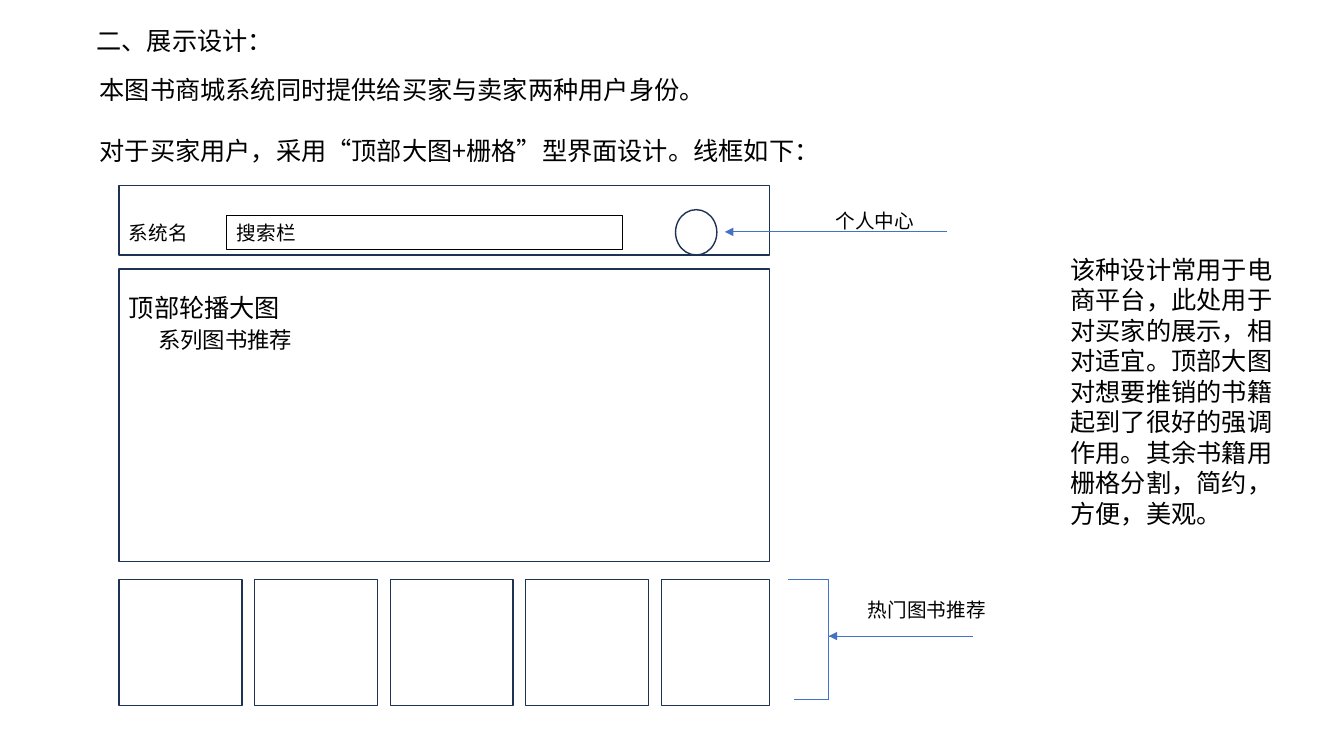
from lxml.etree import SubElement
from pptx import Presentation
from pptx.dml.color import RGBColor
from pptx.enum.shapes import MSO_CONNECTOR, MSO_SHAPE
from pptx.enum.text import MSO_ANCHOR, PP_ALIGN
from pptx.oxml.ns import qn
from pptx.util import Inches, Pt

FONT = "Noto Sans CJK SC"
LINE_HEIGHT = 1.21
BLACK = RGBColor(0x00, 0x00, 0x00)
NAVY = RGBColor(0x1E, 0x32, 0x56)
BLUE = RGBColor(0x44, 0x72, 0xC4)

# Wireframe geometry in inches
FRAME_LEFT, FRAME_WIDTH = 1.18, 6.45
CARD_TOP, CARD_HEIGHT, CARD_WIDTH, CARD_PITCH = 5.75, 1.25, 1.22, 1.345
CARD_COUNT = 5
BRACKET_X, BRACKET_MIDDLE, BRACKET_BOTTOM = 8.22, 6.31, 6.94

# (left, top, width, height), paragraphs of (text, size, space before, indent)
TEXTS = [
    ((0.86, 0.2, 7.83, 0.71), [("二、展示设计：", 18, 0, 0)]),
    ((0.89, 0.69, 9.69, 1.01), [
        ("本图书商城系统同时提供给买家与卖家两种用户身份。", 18, 0, 0),
        ("对于买家用户，采用“顶部大图+栅格”型界面设计。线框如下：", 18, 21.8, 0),
    ]),
    ((FRAME_LEFT, 2.14, 1.49, 0.34), [("系统名", 14, 0, 0)]),
    ((8.19, 2.02, 1.31, 0.34), [("个人中心", 14, 0, 0)]),
    ((FRAME_LEFT, 2.85, 2.57, 0.71), [
        ("顶部轮播大图", 18, 0, 0),
        ("系列图书推荐", 16, 2, 0.29),
    ]),
    ((8.51, 5.88, 1.63, 0.34), [("热门图书推荐", 14, 0, 0)]),
    ((10.52, 2.47, 2.34, 2.83), [
        ("该种设计常用于电商平台，此处用于对买家的展示，相对适宜。"
         "顶部大图对想要推销的书籍起到了很好的强调作用。"
         "其余书籍用栅格分割，简约，方便，美观。", 18, 0, 0),
    ]),
]
SEARCH_BOX = (2.25, 2.14, 3.92, 0.34)
SEARCH_TEXT = [("搜索栏", 14, 0, 0)]

PANELS = [
    (MSO_SHAPE.RECTANGLE, (FRAME_LEFT, 1.84, FRAME_WIDTH, 0.69)),
    (MSO_SHAPE.OVAL, (6.7, 2.08, 0.41, 0.45)),
    (MSO_SHAPE.RECTANGLE, (FRAME_LEFT, 2.67, FRAME_WIDTH, 2.9)),
]

# kind, start, end, arrowhead
LINES = [
    (MSO_CONNECTOR.STRAIGHT, (9.39, 2.3), (7.19, 2.3), True),
    (MSO_CONNECTOR.ELBOW, (7.82, CARD_TOP), (8.62, BRACKET_MIDDLE), False),
    (MSO_CONNECTOR.STRAIGHT, (BRACKET_X, BRACKET_MIDDLE), (BRACKET_X, BRACKET_BOTTOM), False),
    (MSO_CONNECTOR.STRAIGHT, (7.88, BRACKET_BOTTOM), (BRACKET_X, BRACKET_BOTTOM), False),
    (MSO_CONNECTOR.STRAIGHT, (9.65, BRACKET_MIDDLE), (BRACKET_X, BRACKET_MIDDLE), True),
]


def write_text(frame, paragraphs, anchor=MSO_ANCHOR.TOP):
    frame.word_wrap = True
    frame.vertical_anchor = anchor
    for index, (text, size, before, indent) in enumerate(paragraphs):
        paragraph = frame.add_paragraph() if index else frame.paragraphs[0]
        paragraph.alignment = PP_ALIGN.LEFT
        paragraph.line_spacing = Pt(size * LINE_HEIGHT)
        paragraph.space_before = Pt(before)
        if indent:
            paragraph._p.get_or_add_pPr().set("marL", str(Inches(indent)))
        run = paragraph.add_run()
        run.text = text
        run.font.size = Pt(size)
        run.font.name = FONT
        run.font.color.rgb = BLACK
        SubElement(run._r.get_or_add_rPr(), qn("a:ea")).set("typeface", FONT)


def add_outline(slide, kind, box, color=NAVY, width=1):
    shape = slide.shapes.add_shape(kind, *map(Inches, box))
    shape.shadow.inherit = False
    shape.fill.background()
    shape.line.color.rgb = color
    shape.line.width = Pt(width)
    return shape


def add_line(slide, kind, start, end, arrow):
    connector = slide.shapes.add_connector(kind, *map(Inches, start + end))
    connector.line.color.rgb = BLUE
    connector.line.width = Pt(0.5)
    if arrow:
        SubElement(connector.line._get_or_add_ln(), qn("a:tailEnd")).set("type", "triangle")
    SubElement(connector._element.spPr, qn("a:effectLst"))


def main():
    presentation = Presentation()
    presentation.slide_width = Inches(13.33)
    presentation.slide_height = Inches(7.5)
    slide = presentation.slides.add_slide(presentation.slide_layouts[6])

    for kind, box in PANELS:
        add_outline(slide, kind, box)
    search_bar = add_outline(slide, MSO_SHAPE.RECTANGLE, SEARCH_BOX, BLACK, 0.75)
    write_text(search_bar.text_frame, SEARCH_TEXT, MSO_ANCHOR.MIDDLE)

    for index in range(CARD_COUNT):
        left = FRAME_LEFT + index * CARD_PITCH
        # The last card is cut off at the frame's right edge
        width = min(CARD_WIDTH, FRAME_LEFT + FRAME_WIDTH - left)
        add_outline(slide, MSO_SHAPE.RECTANGLE, (left, CARD_TOP, width, CARD_HEIGHT))

    for kind, start, end, arrow in LINES:
        add_line(slide, kind, start, end, arrow)
    for box, paragraphs in TEXTS:
        text_box = slide.shapes.add_textbox(*map(Inches, box))
        write_text(text_box.text_frame, paragraphs)

    presentation.save("out.pptx")


if __name__ == "__main__":
    main()
